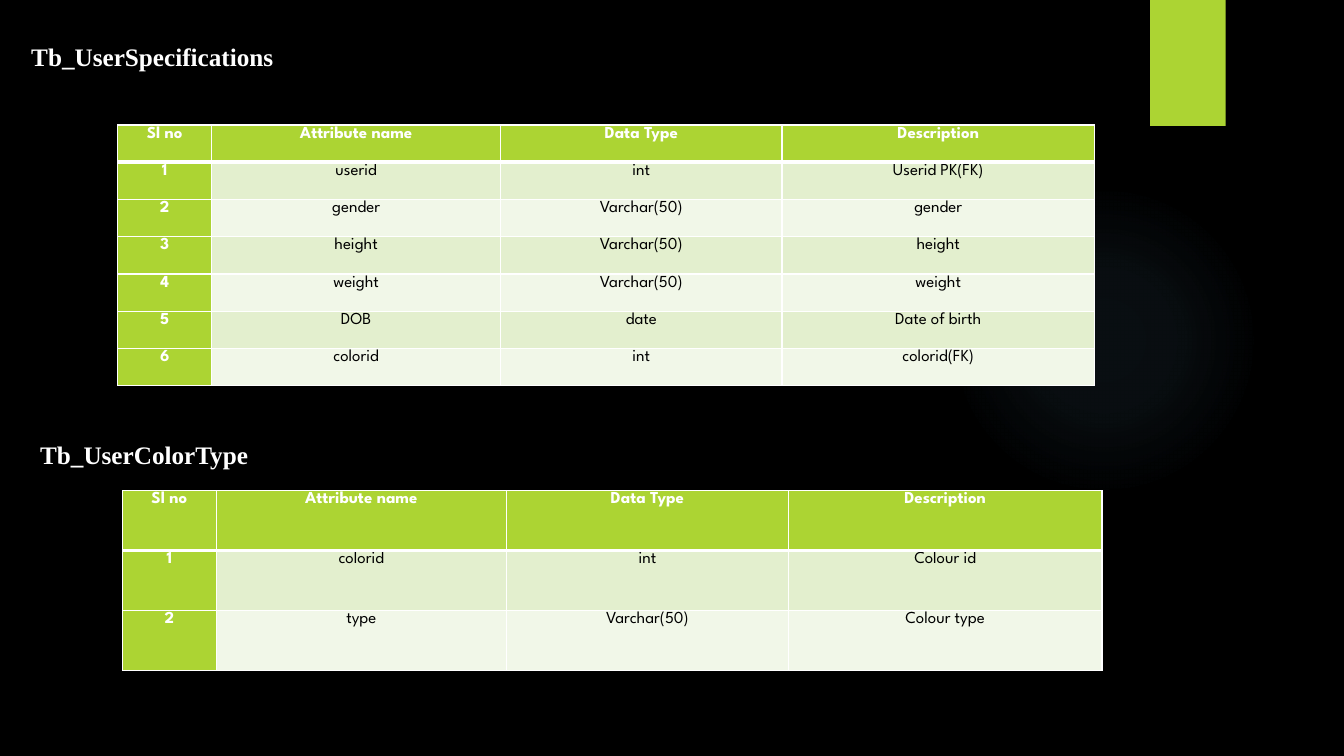
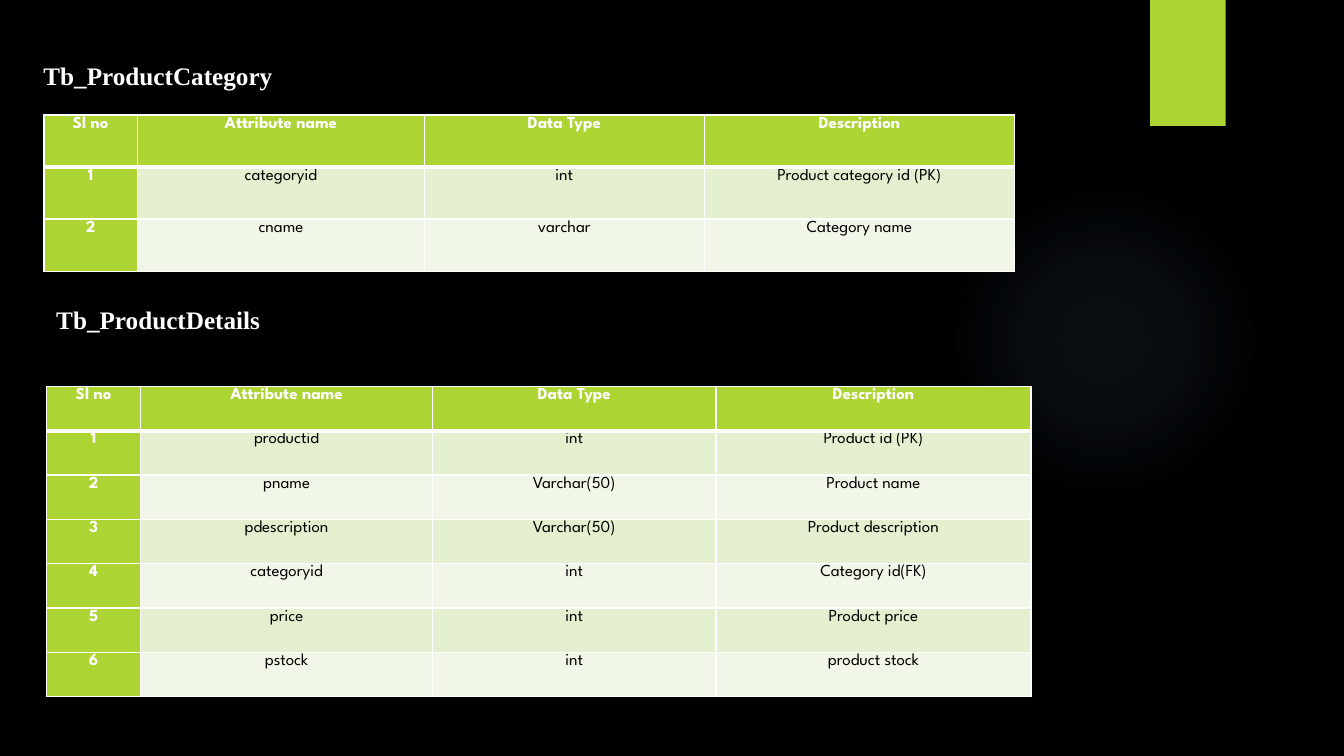
from pptx import Presentation
from pptx.dml.color import RGBColor
from pptx.enum.shapes import MSO_SHAPE as Preset
from pptx.enum.text import MSO_ANCHOR as Anchor, MSO_AUTO_SIZE as AutoSize, PP_ALIGN as Align
from pptx.oxml import parse_xml
from pptx.oxml.ns import nsdecls, qn
from pptx.util import Pt

# Shared look
BLACK, WHITE = "000000", "FFFFFF"
LIME, BAND_ODD, BAND_EVEN = "ACD433", "E3EFCE", "F1F7E8"
GLOW, GLOW_STOPS = "7AC4F0", [(0, 7), (36, 6), (69, 0)]
HEADING_FONT, TABLE_FONT = "Times New Roman", "League Spartan"
GLOW_BOX = (677.5, 131.8, 221.8, 221.8)
TAB_BOX = (821.5, 0, 54, 90)
HEADING_SIZE = (216, 28.8)
COLUMN_SHARES = (0.096, 0.296, 0.288, 0.32)
COLUMN_NAMES = ("Sl no", "Attribute name", "Data Type", "Description")

# Content: heading, heading corner, table box, attributes
SLIDES = [
    [
        ("Tb_UserSpecifications", (15.1, 25.9), (84.2, 89.3, 697.7, 186.5), [
            ("userid", "int", "Userid PK(FK)"),
            ("gender", "Varchar(50)", "gender"),
            ("height", "Varchar(50)", "height"),
            ("weight", "Varchar(50)", "weight"),
            ("DOB", "date", "Date of birth"),
            ("colorid", "int", "colorid(FK)"),
        ]),
        ("Tb_UserColorType", (21.6, 310.5), (87.4, 350.5, 699.8, 128.2), [
            ("colorid", "int", "Colour id"),
            ("type", "Varchar(50)", "Colour type"),
        ]),
    ],
    [
        ("Tb_ProductCategory", (23.8, 39.6), (31.5, 82.1, 693.4, 111.6), [
            ("categoryid", "int", "Product category id (PK)"),
            ("cname", "varchar", "Category name"),
        ]),
        ("Tb_ProductDetails", (33.1, 213.8), (33.1, 276, 703.4, 221.8), [
            ("productid", "int", "Product id (PK)"),
            ("pname", "Varchar(50)", "Product name"),
            ("pdescription", "Varchar(50)", "Product description"),
            ("categoryid", "int", "Category id(FK)"),
            ("price", "int", "Product price"),
            ("pstock", "int", "product stock"),
        ]),
    ],
]


def color(hex_code):
    return RGBColor.from_string(hex_code)


def points(*lengths):
    return [Pt(length) for length in lengths]


def style_font(font, face, size, hex_code, bold):
    font.name, font.size, font.bold = face, Pt(size), bold
    font.color.rgb = color(hex_code)


def add_plain_shape(slide, preset, box):
    shape = slide.shapes.add_shape(preset, *points(*box))
    shape.shadow.inherit = False
    shape.line.fill.background()
    return shape


def add_backdrop(slide):
    # Soft round glow
    glow = add_plain_shape(slide, Preset.OVAL, GLOW_BOX)
    glow.fill.background()
    stops = "".join(
        f'<a:gs pos="{pos * 1000}"><a:srgbClr val="{GLOW}">'
        f'<a:alpha val="{alpha * 1000}"/></a:srgbClr></a:gs>'
        for pos, alpha in GLOW_STOPS)
    gradient = parse_xml(
        f'<a:gradFill {nsdecls("a")}><a:gsLst>{stops}</a:gsLst><a:path path="circle">'
        '<a:fillToRect l="50000" t="50000" r="50000" b="50000"/></a:path></a:gradFill>')
    properties = glow._element.spPr
    properties.replace(properties.find(qn("a:noFill")), gradient)
    # Lime tab at the top edge
    tab = add_plain_shape(slide, Preset.RECTANGLE, TAB_BOX)
    tab.fill.solid()
    tab.fill.fore_color.rgb = color(LIME)


def format_heading(heading, text, corner):
    heading.left, heading.top, heading.width, heading.height = points(*corner, *HEADING_SIZE)
    frame = heading.text_frame
    frame.text = text
    frame.word_wrap, frame.auto_size = True, AutoSize.NONE
    frame.vertical_anchor = Anchor.TOP
    line = frame.paragraphs[0]
    line.alignment = Align.LEFT
    style_font(line.runs[0].font, HEADING_FONT, 18, WHITE, True)


def add_borders(cell, top, bottom):
    properties = cell._tc.get_or_add_tcPr()
    sides = (("lnL", 1), ("lnR", 1), ("lnT", top), ("lnB", bottom))
    for position, (side, width) in enumerate(sides):
        properties.insert(position, parse_xml(
            f'<a:{side} {nsdecls("a")} w="{Pt(width)}"><a:solidFill>'
            f'<a:srgbClr val="{WHITE}"/></a:solidFill></a:{side}>'))


def format_cell(cell, text, row, column):
    key = row == 0 or column == 0
    cell.margin_left = cell.margin_right = Pt(5.2)
    cell.margin_top = cell.margin_bottom = 0
    cell.text_frame.text = text
    line = cell.text_frame.paragraphs[0]
    line.alignment, line.line_spacing, line.space_after = Align.CENTER, 1.09, Pt(15.3)
    style_font(line.runs[0].font, TABLE_FONT, 12, WHITE if key else BLACK, key)
    cell.fill.solid()
    cell.fill.fore_color.rgb = color(LIME if key else BAND_ODD if row % 2 else BAND_EVEN)
    add_borders(cell, top=3 if row == 1 else 1, bottom=3 if row == 0 else 1)


def add_attribute_table(slide, box, attributes):
    numbered = [(str(n), *attribute) for n, attribute in enumerate(attributes, 1)]
    rows = [COLUMN_NAMES, *numbered]
    width, height = box[2:]
    table = slide.shapes.add_table(len(rows), len(COLUMN_NAMES), *points(*box)).table
    table.first_col = True
    for column, share in zip(table.columns, COLUMN_SHARES):
        column.width = Pt(width * share)
    for r, texts in enumerate(rows):
        table.rows[r].height = Pt(height / len(rows))
        for c, text in enumerate(texts):
            format_cell(table.cell(r, c), text, r, c)


def add_schema_slide(deck, sections):
    slide = deck.slides.add_slide(deck.slide_layouts.get_by_name("Title Only"))
    add_backdrop(slide)
    for index, (name, corner, box, attributes) in enumerate(sections):
        if index == 0:
            heading = slide.shapes.title
        else:
            heading = slide.shapes.add_textbox(*points(*corner, *HEADING_SIZE))
        format_heading(heading, name, corner)
        add_attribute_table(slide, box, attributes)


def main():
    deck = Presentation()
    deck.slide_width, deck.slide_height = points(960, 540)
    backdrop = deck.slide_master.background.fill
    backdrop.solid()
    backdrop.fore_color.rgb = color(BLACK)
    for sections in SLIDES:
        add_schema_slide(deck, sections)
    deck.save("out.pptx")


if __name__ == "__main__":
    main()
